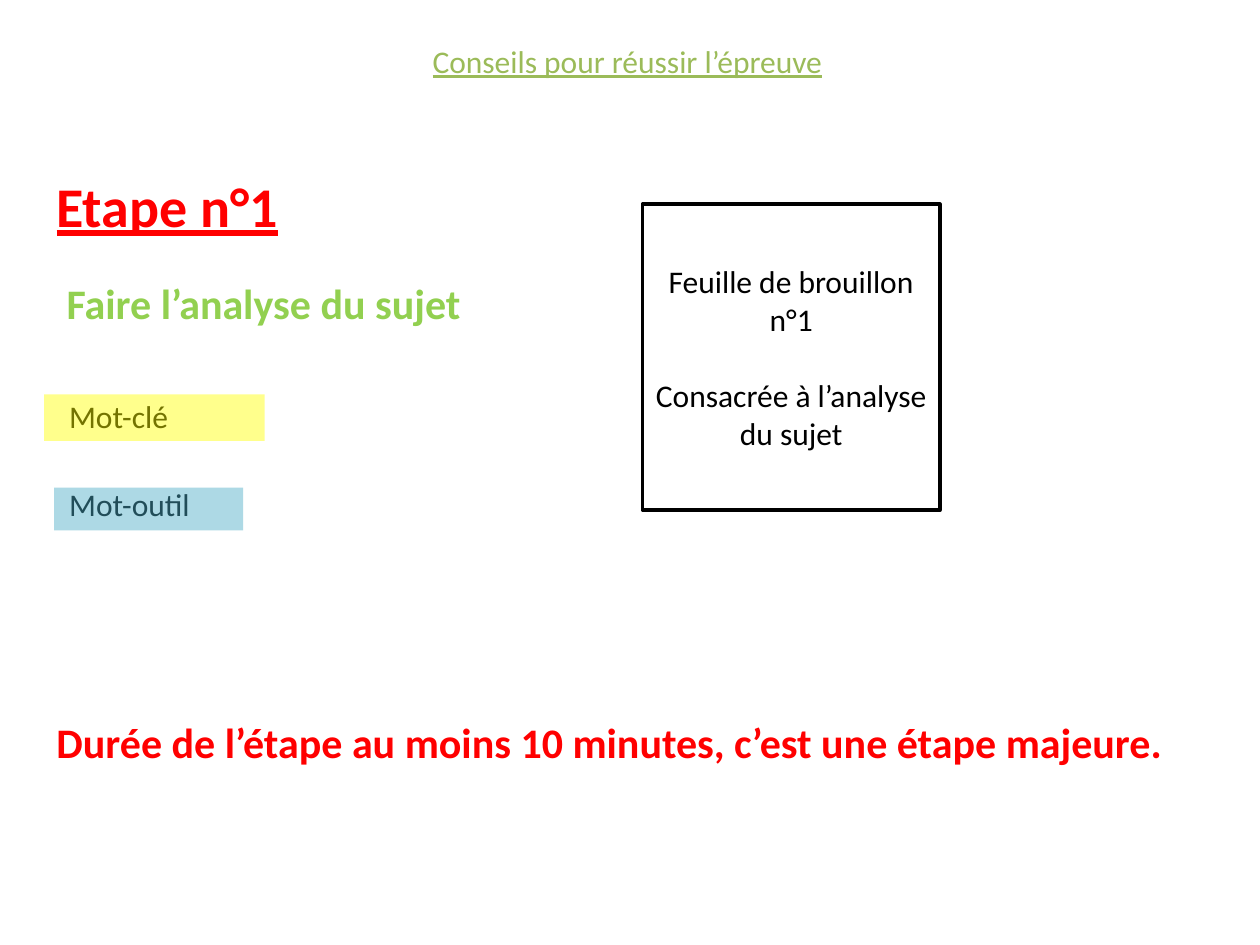
from dataclasses import dataclass

from lxml.etree import SubElement
from pptx import Presentation
from pptx.dml.color import RGBColor
from pptx.enum.shapes import MSO_SHAPE
from pptx.enum.text import MSO_ANCHOR, MSO_AUTO_SIZE, PP_ALIGN
from pptx.oxml.ns import qn
from pptx.util import Inches, Pt

COLS, ROWS = 100, 75
WIDTH, HEIGHT = Inches(10), Inches(7.5)


@dataclass(frozen=True)
class Theme:
    font: str = "Calibri"
    olive: str = "9BBB59"
    green: str = "92D050"
    red: str = "FF0000"
    black: str = "000000"
    white: str = "FFFFFF"
    yellow: str = "FFFF00"
    blue: str = "4BACC6"
    step: int = 32
    strong: int = 24
    body: int = 18
    gap: int = 22
    border: int = 2
    marker_alpha: int = 45


THEME = Theme()


def grid(col, row, cols, rows):
    return (int(WIDTH * col / COLS), int(HEIGHT * row / ROWS),
            int(WIDTH * cols / COLS), int(HEIGHT * rows / ROWS))


def write(tf, paragraphs, size, color, align=PP_ALIGN.LEFT,
          anchor=MSO_ANCHOR.TOP, bold=False, underline=False):
    tf.word_wrap = True
    tf.auto_size = MSO_AUTO_SIZE.NONE
    tf.vertical_anchor = anchor
    for i, text in enumerate(paragraphs):
        p = tf.add_paragraph() if i else tf.paragraphs[0]
        p.alignment = align
        if i:
            p.space_before = Pt(THEME.gap)
        r = p.add_run()
        r.text = text
        r.font.name = THEME.font
        r.font.size = Pt(size)
        r.font.bold = bold
        r.font.underline = underline
        r.font.color.rgb = RGBColor.from_string(color)


def add_title(s, cell, text):
    sp = s.shapes.title
    sp.left, sp.top, sp.width, sp.height = grid(*cell)
    write(sp.text_frame, [text], THEME.body, THEME.olive,
          align=PP_ALIGN.CENTER, underline=True)


def add_text(s, cell, text, size, color, **style):
    sp = s.shapes.add_textbox(*grid(*cell))
    write(sp.text_frame, [text], size, color, **style)


def add_rect(s, cell, color):
    sp = s.shapes.add_shape(MSO_SHAPE.RECTANGLE, *grid(*cell))
    sp.shadow.inherit = False
    sp.fill.solid()
    sp.fill.fore_color.rgb = RGBColor.from_string(color)
    sp.line.fill.background()
    return sp


def add_sheet(s, cell, paragraphs):
    sp = add_rect(s, cell, THEME.white)
    sp.line.color.rgb = RGBColor.from_string(THEME.black)
    sp.line.width = Pt(THEME.border)
    write(sp.text_frame, paragraphs, THEME.body, THEME.black,
          align=PP_ALIGN.CENTER, anchor=MSO_ANCHOR.MIDDLE)


def add_marker(s, cell, color):
    sp = add_rect(s, cell, color)
    clr = sp.fill._xPr.find(qn("a:solidFill"))[0]
    SubElement(clr, qn("a:alpha")).set("val", str(THEME.marker_alpha * 1000))


def main():
    prs = Presentation()
    prs.slide_width, prs.slide_height = WIDTH, HEIGHT
    s = prs.slides.add_slide(prs.slide_layouts[5])

    add_title(s, (-0.2, 2.8, 100, 4), "Conseils pour réussir l’épreuve")
    add_text(s, (3.5, 13.1, 77.9, 6.4), "Etape n°1",
             THEME.step, THEME.red, bold=True, underline=True)
    add_text(s, (4.3, 21.5, 92.1, 5), "Faire l’analyse du sujet",
             THEME.strong, THEME.green, bold=True)
    add_text(s, (4.5, 31, 11, 4), "Mot-clé", THEME.body, THEME.black)
    add_text(s, (4.5, 38, 16.5, 4), "Mot-outil", THEME.body, THEME.black)
    add_sheet(s, (51, 16.2, 23.6, 24.3),
              ["Feuille de brouillon n°1", "Consacrée à l’analyse du sujet"])
    add_text(s, (3.5, 56.4, 90.6, 5),
             "Durée de l’étape au moins 10 minutes, c’est une étape majeure.",
             THEME.strong, THEME.red, align=PP_ALIGN.JUSTIFY, bold=True)
    add_marker(s, (3.5, 31.3, 17.5, 3.7), THEME.yellow)
    add_marker(s, (4.3, 38.7, 15, 3.4), THEME.blue)

    prs.save("out.pptx")


if __name__ == "__main__":
    main()
